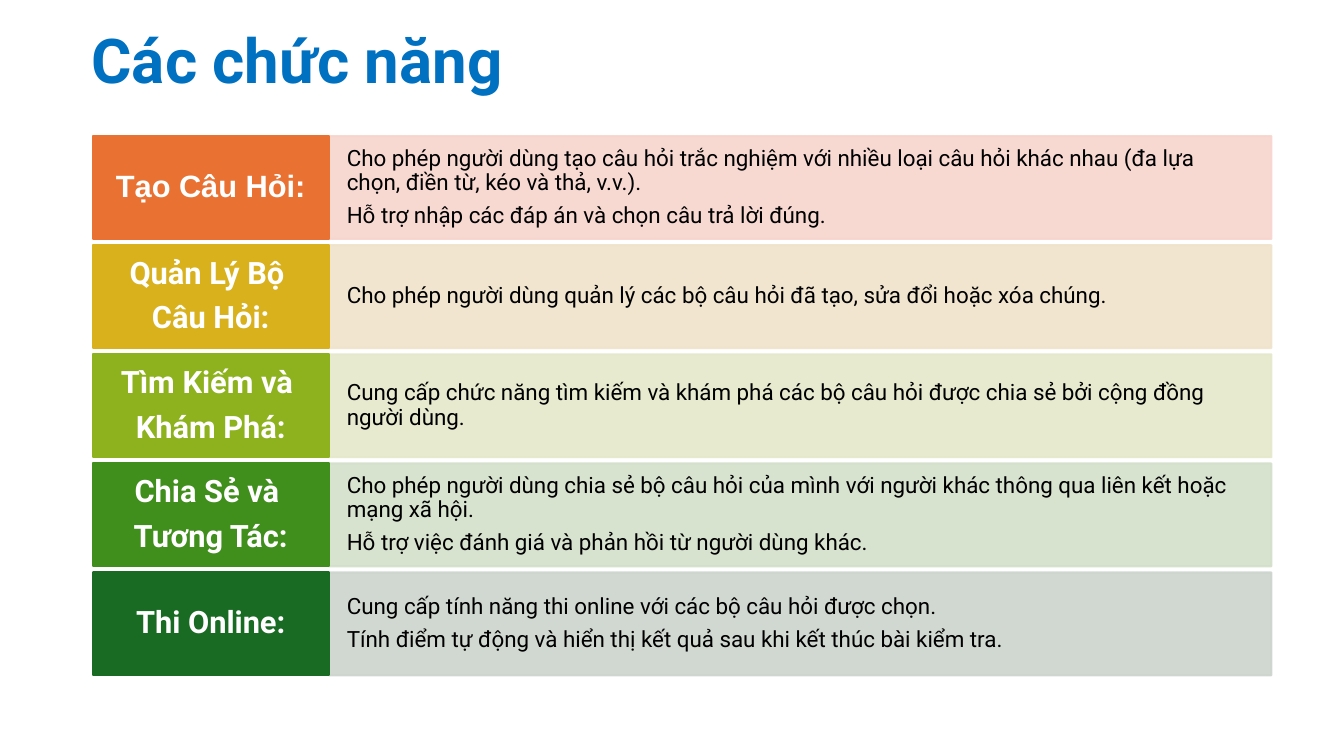
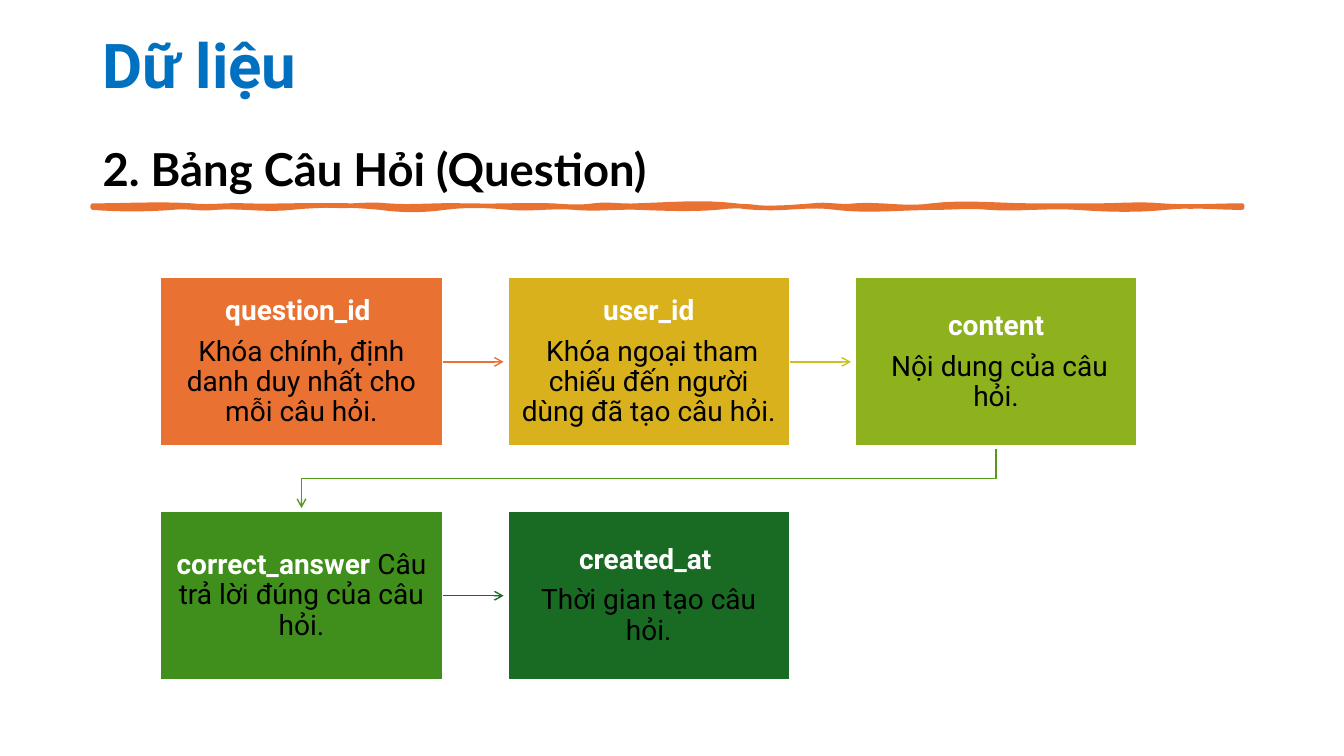
from dataclasses import dataclass

from lxml import etree
from pptx import Presentation
from pptx import util as u
from pptx.dml import color
from pptx.enum import shapes, text
from pptx.oxml import ns

IN = u.Inches


@dataclass(frozen=True)
class Theme:
    font: str = "Roboto"
    blue: str = "0070C0"
    black: str = "000000"
    white: str = "FFFFFF"
    tones: tuple = ("E97132", "D8B11D", "8EB21E", "408E1C", "196B24")
    tints: tuple = ("F7D5CE", "F0E3CB", "E5E8CA", "D3DFCA", "CCD4CD")
    links: tuple = ("E97132", "CBC11E", "56991D", "196B24")
    title: float = 44.1
    sub: float = 32.4
    label: float = 22
    card: float = 20
    body: float = 16


T = Theme()
LEFT, MID = text.PP_ALIGN.LEFT, text.PP_ALIGN.CENTER


def rgb(tone):
    return color.RGBColor.from_string(tone)


def assign(item, **values):
    for name, value in values.items():
        setattr(item, name, value)


def run(words, size, tone=T.black, bold=False, font=T.font):
    return words, tone, dict(size=u.Pt(size), bold=bold, name=font)


class Deck:
    def __init__(self):
        self.show = Presentation()
        assign(self.show, slide_width=IN(13.33), slide_height=IN(7.5))

    def page(self):
        self.items = self.show.slides.add_slide(self.show.slide_layouts[6]).shapes

    def label(self, shape, paras, align=LEFT, pad=(0.1, 0.05), gap=0.37,
              anchor=text.MSO_ANCHOR.MIDDLE):
        """Fill a shape with paragraphs; gap is a share of the type size."""
        frame = shape.text_frame
        side, edge = map(IN, pad)
        assign(frame, word_wrap=True, vertical_anchor=anchor, margin_left=side,
               margin_right=side, margin_top=edge, margin_bottom=edge)
        for i, runs in enumerate(paras):
            para = frame.add_paragraph() if i else frame.paragraphs[0]
            size = runs[0][2]["size"].pt
            assign(para, alignment=align, line_spacing=0.9,
                   space_after=u.Pt(round(size * gap, 1)))
            for words, tone, style in runs:
                part = para.add_run()
                part.text = words
                assign(part.font, **style)
                part.font.color.rgb = rgb(tone)

    def title(self, words, x, y, sub=None):
        paras = [[run(words, T.title, T.blue, True)]]
        if sub:
            paras.append([run(sub, T.sub, bold=True, font="Lato")])
        box = self.items.add_textbox(IN(x), IN(y), IN(11.5), IN(1.7 if sub else 0.8))
        self.label(box, paras, gap=0.74 if sub else 0, anchor=text.MSO_ANCHOR.TOP)

    def paint(self, shape, fill, line, width, alpha=None):
        shape.shadow.inherit = False
        if fill:
            shape.fill.solid()
            shape.fill.fore_color.rgb = rgb(fill)
        else:
            shape.fill.background()
        shape.line.color.rgb = rgb(line)
        shape.line.width = u.Pt(width)
        if alpha:
            for tag in shape.element.spPr.iter(ns.qn("a:srgbClr")):
                etree.SubElement(tag, ns.qn("a:alpha"), val=str(alpha * 1000))

    def rect(self, at, fill, line, alpha=None):
        box = self.items.add_shape(shapes.MSO_SHAPE.RECTANGLE, *map(IN, at))
        self.paint(box, fill, line, 1.5, alpha)
        return box

    def outline(self, points, fill, line, width, close):
        spots = [(IN(x), IN(y)) for x, y in points]
        build = self.items.build_freeform(*spots[0])
        build.add_line_segments(spots[1:], close=close)
        shape = build.convert_to_shape()
        self.paint(shape, fill, line, width)
        return shape

    def head(self, shape):
        """Put an open arrowhead at the end of a line."""
        line = shape.element.spPr.find(ns.qn("a:ln"))
        etree.SubElement(line, ns.qn("a:tailEnd"), type="arrow")

    def arrow(self, box, end, tone):
        x, y = map(IN, end)
        link = self.items.add_connector(shapes.MSO_CONNECTOR.STRAIGHT, x, y, x, y)
        link.begin_connect(box, 3)
        link.line.color.rgb = rgb(tone)
        link.line.width = u.Pt(1)
        self.head(link)
        etree.SubElement(link.element.spPr, ns.qn("a:effectLst"))


# Each brush step: end x, then the offsets of its two control points in 0.01 inch
UPPER = [(1.9, 0, -2), (2.44, 2, -1), (3.31, 1, -1), (3.84, 1, -2), (4.6, 2, -1),
         (5.48, 1, -1), (5.89, 1, 2), (6.31, -2, 1), (7.3, -1, -4), (8.06, 4, 2),
         (8.48, -2, 2), (9.24, -2, 4), (10.23, -4, 0), (10.87, 0, 0),
         (11.52, 0, -2), (12.32, 2, 0)]
LOWER = [(11.56, 0, -3), (10.68, 3, 2), (9.81, -2, 2), (9.28, -2, 0), (8.29, 0, 4),
         (7.53, -4, 2), (7.11, -2, -2), (6.35, 2, 1), (5.7, -1, 2), (5.06, -2, 2),
         (4.41, -2, -3), (3.77, 3, 3), (2.89, -3, -3), (2.13, 3, -2),
         (1.71, 2, -2), (0.92, 2, 2)]


def edge(x, y, steps):
    """Points along one wavy side of the brush stroke."""
    points = [(x, y)]
    for end, one, two in steps:
        for k in range(1, 9):
            t = k / 8
            lift = 3 * t * (1 - t) * ((1 - t) * one + t * two) / 100
            points.append((x + (end - x) * t, y + lift))
        x = end
    return points


ROWS = [
    (["Tạo Câu Hỏi:"],
     ["Cho phép người dùng tạo câu hỏi trắc nghiệm với nhiều loại câu hỏi khác nhau "
      "(đa lựa chọn, điền từ, kéo và thả, v.v.).",
      "Hỗ trợ nhập các đáp án và chọn câu trả lời đúng."]),
    (["Quản Lý Bộ ", "Câu Hỏi:"],
     ["Cho phép người dùng quản lý các bộ câu hỏi đã tạo, sửa đổi hoặc xóa chúng."]),
    (["Tìm Kiếm và ", "Khám Phá:"],
     ["Cung cấp chức năng tìm kiếm và khám phá các bộ câu hỏi được chia sẻ bởi "
      "cộng đồng người dùng."]),
    (["Chia Sẻ và ", "Tương Tác:"],
     ["Cho phép người dùng chia sẻ bộ câu hỏi của mình với người khác thông qua "
      "liên kết hoặc mạng xã hội.",
      "Hỗ trợ việc đánh giá và phản hồi từ người dùng khác."]),
    (["Thi Online:"],
     ["Cung cấp tính năng thi online với các bộ câu hỏi được chọn.",
      "Tính điểm tự động và hiển thị kết quả sau khi kết thúc bài kiểm tra."]),
]

CARDS = [
    ("question_id ", "Khóa chính, định danh duy nhất cho mỗi câu hỏi."),
    ("user_id", " Khóa ngoại tham chiếu đến người dùng đã tạo câu hỏi."),
    ("content", " Nội dung của câu hỏi."),
    ("correct_answer ", "Câu trả lời đúng của câu hỏi."),
    ("created_at ", "Thời gian tạo câu hỏi."),
]


def tasks(deck):
    deck.page()
    deck.title("Các chức năng", 0.81, 0.25)
    left, split, high = 0.92, 3.26, 1.02
    for i, (name, notes) in enumerate(ROWS):
        top = 1.35 + i * 4.33 / 4
        body = deck.rect((split, top, 9.35, high), T.tints[i], T.tints[i], 90)
        deck.label(body, [[run(s, T.body)] for s in notes], pad=(0.18, 0.1))
        tab = deck.rect((left, top, split - left, high), T.tones[i], T.tones[i])
        font = T.font if i else "Arial"
        deck.label(tab, [[run(s, T.label, T.white, True, font)] for s in name],
                   MID, (0.12, 0.1))


def fields(deck):
    deck.page()
    deck.title("Dữ liệu", 0.92, 0.3, "2. Bảng Câu Hỏi (Question)")
    brush = edge(0.92, 2.04, UPPER) + edge(12.32, 2.06, LOWER)
    deck.outline(brush, T.tones[0], T.tones[0], 3.25, True)

    wide, high, cols = 2.8, 1.68, 3
    spots = [(1.59 + i % cols * 6.89 / 2, 2.75 + i // cols * 2.32)
             for i in range(len(CARDS))]
    boxes = []
    for i, (name, note) in enumerate(CARDS):
        box = deck.rect((*spots[i], wide, high), T.tones[i], T.white)
        key, desc = run(name, T.card, T.white, True), run(note, T.card)
        joined = name.startswith("correct")
        deck.label(box, [[key, desc]] if joined else [[key], [desc]],
                   MID, (0.14, 0.14))
        boxes.append(box)

    for i, tone in enumerate(T.links):
        x, y = spots[i]
        nx, ny = spots[i + 1]
        if y == ny:
            deck.arrow(boxes[i], (nx - 0.04, y + high / 2), tone)
        else:
            start, end, turn = x + wide / 2, nx + wide / 2, (y + high + ny) / 2
            bend = [(start, y + high + 0.02), (start, turn), (end, turn), (end, ny - 0.03)]
            deck.head(deck.outline(bend, None, tone, 1, False))


def main():
    deck = Deck()
    tasks(deck)
    fields(deck)
    deck.show.save("out.pptx")


if __name__ == "__main__":
    main()
